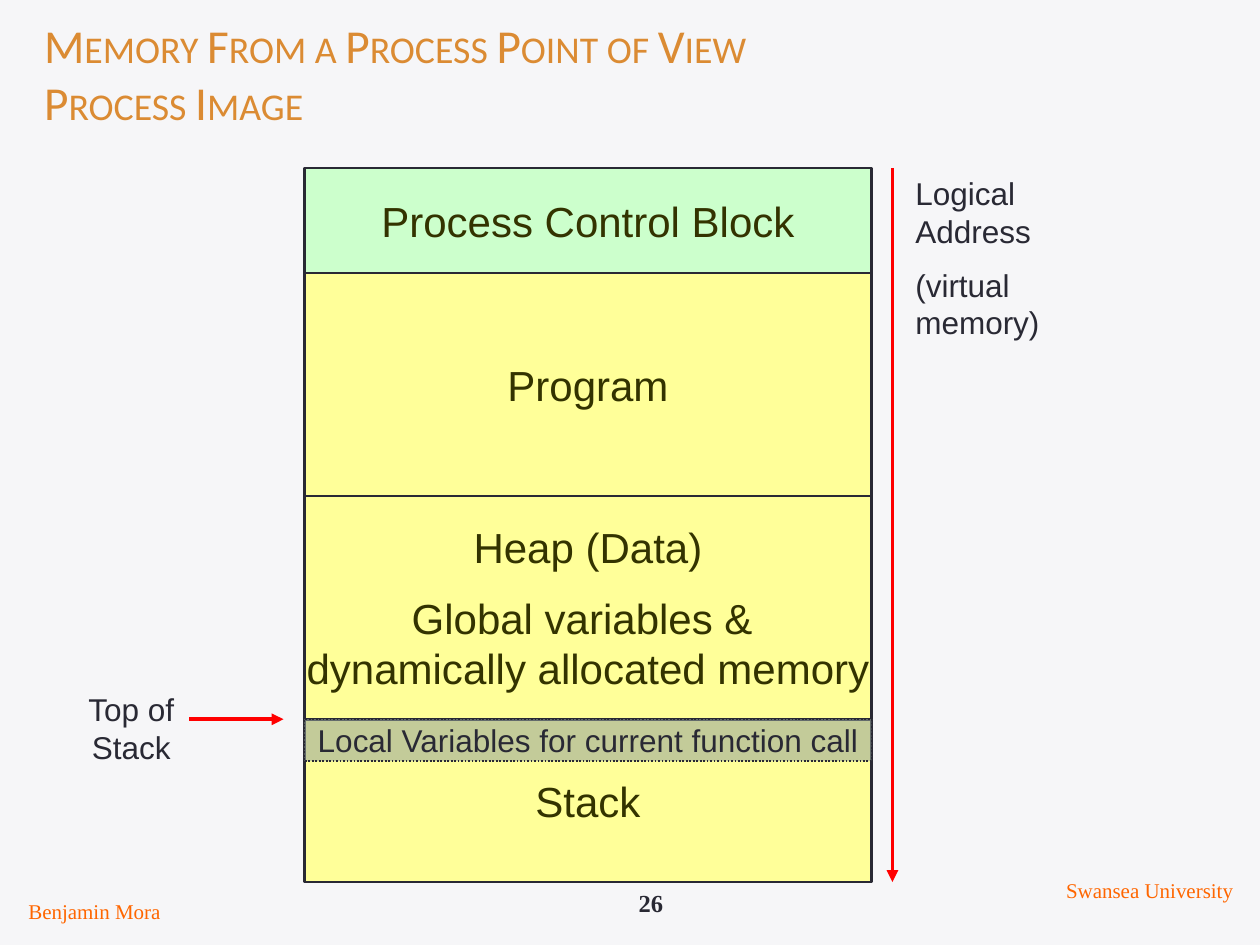
from dataclasses import dataclass

from lxml.etree import SubElement
from pptx import Presentation
from pptx.dml.color import RGBColor
from pptx.enum.dml import MSO_LINE_DASH_STYLE as Dash
from pptx.enum.shapes import MSO_CONNECTOR as Connector, MSO_SHAPE as Shape
from pptx.enum.text import MSO_ANCHOR as Anchor, MSO_AUTO_SIZE as AutoSize, PP_ALIGN as Align
from pptx.oxml.ns import qn
from pptx.util import Pt

BACKGROUND = RGBColor(0xF6, 0xF6, 0xF8)
TITLE = RGBColor(0xDB, 0x8B, 0x33)
INK = RGBColor(0x29, 0x29, 0x34)
ORANGE = RGBColor(0xFF, 0x66, 0x00)
GREEN = RGBColor(0xCC, 0xFF, 0xCC)
YELLOW = RGBColor(0xFF, 0xFF, 0x99)
OLIVE = RGBColor(0x33, 0x33, 0x00)
GREY = RGBColor(0x93, 0xA2, 0x99)
RED = RGBColor(0xFF, 0x00, 0x00)

MEMORY_LEFT, MEMORY_TOP, MEMORY_WIDTH = 174, 96, 324


@dataclass
class Style:
    font: str
    size: float
    color: RGBColor
    bold: bool = False
    align: Align = Align.CENTER
    gap: float = 0


@dataclass
class Region:
    lines: list[str]
    height: float
    fill: RGBColor


@dataclass
class Label:
    lines: list[str]
    left: float
    top: float
    width: float
    height: float
    style: Style


REGION = Style("Arial", 24, OLIVE)
NOTE = Style("Arial", 18, INK)
ADDRESS = Style("Arial", 18, INK, align=Align.LEFT, gap=9)
NUMBER = Style("Times New Roman", 14, INK, bold=True)
FOOTER = Style("Times New Roman", 12, ORANGE)

REGIONS = [
    Region(["Process Control Block"], 60, GREEN),
    Region(["Program"], 127.5, YELLOW),
    Region(["Heap (Data)", "Global variables & \vdynamically allocated memory"], 127.5, YELLOW),
    Region(["Stack"], 93, YELLOW),
]
LABELS = [
    Label(["26"], 324, 504, 96, 24, NUMBER),
    Label(["Benjamin Mora"], 6, 510, 96, 21.6, FOOTER),
    Label(["Swansea University"], 600, 498, 114, 21.6, FOOTER),
    Label(["Top of Stack"], 24, 391, 102, 50.4, NOTE),
    Label(["Logical Address", "(virtual memory)"], 516, 96, 108, 104.4, ADDRESS),
]


def write(tf, lines: list[str], style: Style) -> None:
    tf.text = "\n".join(lines)
    for i, p in enumerate(tf.paragraphs):
        p.alignment = style.align
        p.space_before = Pt(style.gap if i else 0)
        p.font.name = style.font
        p.font.size = Pt(style.size)
        p.font.bold = style.bold
        p.font.color.rgb = style.color


def add_title(s, lines: list[str]) -> None:
    sp = s.shapes.title
    sp.left, sp.top, sp.width, sp.height = Pt(18), Pt(12), Pt(684), Pt(66)
    tf = sp.text_frame
    tf.auto_size = AutoSize.NONE
    tf.vertical_anchor = Anchor.BOTTOM
    write(tf, ["\v".join(lines)], Style("Calibri", 27, TITLE, align=Align.LEFT))
    for r in tf.paragraphs[0].runs:
        r.font._element.set("cap", "small")


def add_label(s, label: Label) -> None:
    sp = s.shapes.add_textbox(Pt(label.left), Pt(label.top), Pt(label.width), Pt(label.height))
    sp.text_frame.word_wrap = True
    write(sp.text_frame, label.lines, label.style)


def add_block(shapes, region: Region, top: float, style: Style, line_width: float = 1.5):
    sp = shapes.add_shape(Shape.RECTANGLE, Pt(MEMORY_LEFT), Pt(top), Pt(MEMORY_WIDTH), Pt(region.height))
    sp.shadow.inherit = False
    sp.fill.solid()
    sp.fill.fore_color.rgb = region.fill
    sp.line.color.rgb = INK
    sp.line.width = Pt(line_width)
    tf = sp.text_frame
    tf.word_wrap = False
    tf.vertical_anchor = Anchor.MIDDLE
    write(tf, region.lines, style)
    return sp


def add_arrow(s, x1: float, y1: float, x2: float, y2: float) -> None:
    cxn = s.shapes.add_connector(Connector.STRAIGHT, Pt(x1), Pt(y1), Pt(x2), Pt(y2))
    cxn.line.color.rgb = RED
    cxn.line.width = Pt(2.25)
    SubElement(cxn.line._get_or_add_ln(), qn("a:tailEnd"), type="triangle")
    SubElement(cxn._element.spPr, qn("a:effectLst"))


def main() -> None:
    prs = Presentation()
    prs.slide_width, prs.slide_height = Pt(720), Pt(540)
    s = prs.slides.add_slide(prs.slide_layouts[5])
    s.background.fill.solid()
    s.background.fill.fore_color.rgb = BACKGROUND
    add_title(s, ["Memory From a Process Point of View ", "Process Image"])

    memory = s.shapes.add_group_shape().shapes
    bottom = MEMORY_TOP
    for region in REGIONS:
        top = bottom
        sp = add_block(memory, region, top, REGION)
        if len(region.lines) > 1:
            sp.text_frame.paragraphs[1].space_before = Pt(11.5)
        bottom += region.height

    for label in LABELS:
        add_label(s, label)
    add_arrow(s, 108, top, 162, top)
    add_arrow(s, 510, MEMORY_TOP, 510, bottom)

    frame = Region(["Local Variables for current function call"], 24, GREY)
    sp = add_block(s.shapes, frame, top, NOTE, 1)
    sp.line.dash_style = Dash.ROUND_DOT
    color = sp.fill._xPr.find(qn("a:solidFill"))[0]
    SubElement(color, qn("a:alpha"), val="55000")
    prs.save("out.pptx")


if __name__ == "__main__":
    main()
